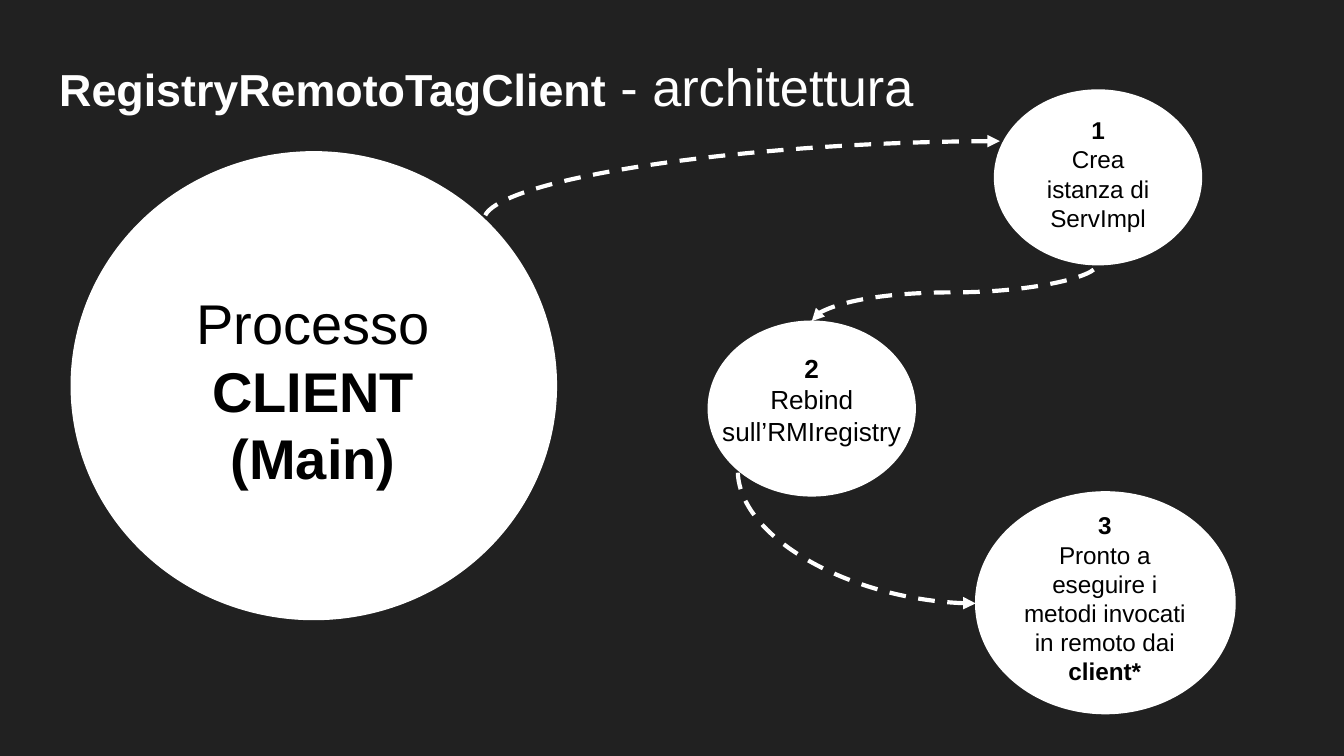
from typing import NamedTuple

from pptx import Presentation
from pptx.dml.color import RGBColor
from pptx.enum.dml import MSO_LINE as Dash
from pptx.enum.shapes import MSO_CONNECTOR as Link, MSO_SHAPE as Preset
from pptx.enum.text import MSO_ANCHOR as Anchor, MSO_AUTO_SIZE as Fit, PP_ALIGN as Align
from pptx.oxml.ns import qn
from pptx.util import Inches, Pt
from lxml.etree import SubElement

COLORS = {"back": "212121", "light": "FFFFFF", "dark": "000000"}
FONT = "Arial"
WIDTH = 10
HEIGHT = WIDTH * 9 / 16
Box = tuple[float, float, float, float]
Spot = tuple[float, float]


class Piece(NamedTuple):
    text: str
    size: float
    bold: bool = False


class Node(NamedTuple):
    oval: Box
    label: Box
    lines: list[list[Piece]]


class Arrow(NamedTuple):
    tip: Spot
    tail: Spot
    upright: bool = False  # leaves the tip vertically, as an S curve


SMALL = (1.54, 1.3)
NODES = [
    Node((0.53, 1.13, 3.61, 3.48), (0.81, 2.05, 3.04, 1.65),
         [[Piece("Processo", 30)], [Piece("CLIENT", 30, True)],
          [Piece("(Main)", 30, True)]]),
    Node((7.4, 0.67, *SMALL), (7.6, 0.76, 1.14, 1.04),
         [[Piece("1", 13, True)], [Piece("Crea istanza di ServImpl", 13)]]),
    Node((5.27, 2.39, *SMALL), (5.27, 2.52, 1.54, 0.85),
         [[Piece("2", 14, True)], [Piece("Rebind sull’RMIregistry", 14)]]),
    Node((7.26, 3.66, 1.93, 1.65), (7.45, 3.7, 1.54, 1.49),
         [[Piece("3", 13, True)],
          [Piece("Pronto a eseguire i metodi invocati in remoto dai ", 13),
           Piece("client*", 13, True)]]),
]
ARROWS = [
    Arrow((7.44, 1.05), (3.6, 1.64)),
    Arrow((6.04, 2.39), (8.17, 1.96), True),
    Arrow((7.26, 4.49), (5.49, 3.5)),
]


def rgb(name: str) -> RGBColor:
    return RGBColor.from_string(COLORS[name])


def write(frame, lines: list[list[Piece]], color: str, align: Align) -> None:
    frame.word_wrap = True
    frame.auto_size = Fit.NONE
    frame.vertical_anchor = Anchor.TOP
    frame.margin_left = frame.margin_right = Inches(0.1)
    frame.margin_top = frame.margin_bottom = Inches(0.1)
    for i, line in enumerate(lines):
        para = frame.add_paragraph() if i else frame.paragraphs[0]
        para.alignment = align
        para.line_spacing = 1.0
        for piece in line:
            run = para.add_run()
            run.text = piece.text
            run.font.name = FONT
            run.font.size = Pt(piece.size)
            run.font.bold = piece.bold
            run.font.color.rgb = rgb(color)


def draw_node(slide, node: Node) -> None:
    oval = slide.shapes.add_shape(Preset.OVAL, *map(Inches, node.oval))
    oval.shadow.inherit = False
    oval.fill.solid()
    oval.fill.fore_color.rgb = rgb("light")
    oval.line.color.rgb = rgb("light")
    oval.line.width = Pt(0.75)
    label = slide.shapes.add_textbox(*map(Inches, node.label))
    write(label.text_frame, node.lines, "dark", Align.CENTER)


def draw_arrow(slide, arrow: Arrow) -> None:
    (x1, y1), (x2, y2) = arrow.tip, arrow.tail
    if arrow.upright:  # swap the sides about the centre, then turn back
        cx, cy = (x1 + x2) / 2, (y1 + y2) / 2
        dx, dy = (y1 - y2) / 2, (x2 - x1) / 2
        x1, y1, x2, y2 = cx - dx, cy - dy, cx + dx, cy + dy
    link = slide.shapes.add_connector(Link.CURVE, *map(Inches, (x1, y1, x2, y2)))
    link.line.color.rgb = rgb("light")
    link.line.width = Pt(2.25)
    link.line.dash_style = Dash.DASH
    props = link._element.spPr
    if arrow.upright:
        props.find(qn("a:xfrm")).set("rot", str(270 * 60000))
    else:
        props.find(qn("a:prstGeom")).set("prst", "curvedConnector2")
    SubElement(props.find(qn("a:ln")), qn("a:headEnd"), type="triangle")
    SubElement(props, qn("a:effectLst"))


def main() -> None:
    deck = Presentation()
    deck.slide_width, deck.slide_height = Inches(WIDTH), Inches(HEIGHT)
    slide = deck.slides.add_slide(deck.slide_layouts[5])
    slide.background.fill.solid()
    slide.background.fill.fore_color.rgb = rgb("back")

    # Title
    title = slide.shapes.title
    title.left, title.top = Inches(0.34), Inches(0.3)
    title.width, title.height = Inches(9.32), Inches(0.63)
    write(title.text_frame, [[Piece("RegistryRemotoTagClient", 24, True),
                              Piece(" - architettura", 28)]], "light", Align.LEFT)

    # Process and its three steps
    for node in NODES:
        draw_node(slide, node)

    # Flow between them
    for arrow in ARROWS:
        draw_arrow(slide, arrow)

    deck.save("out.pptx")


if __name__ == "__main__":
    main()
